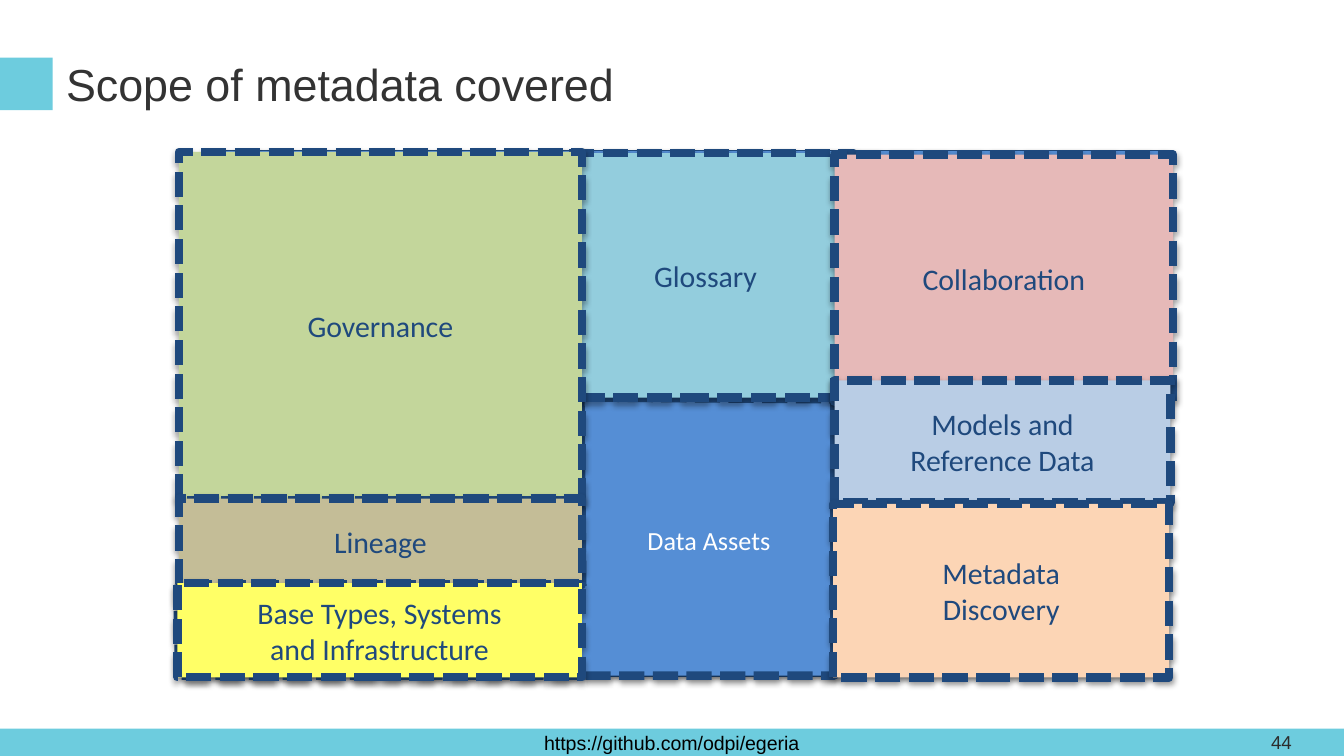
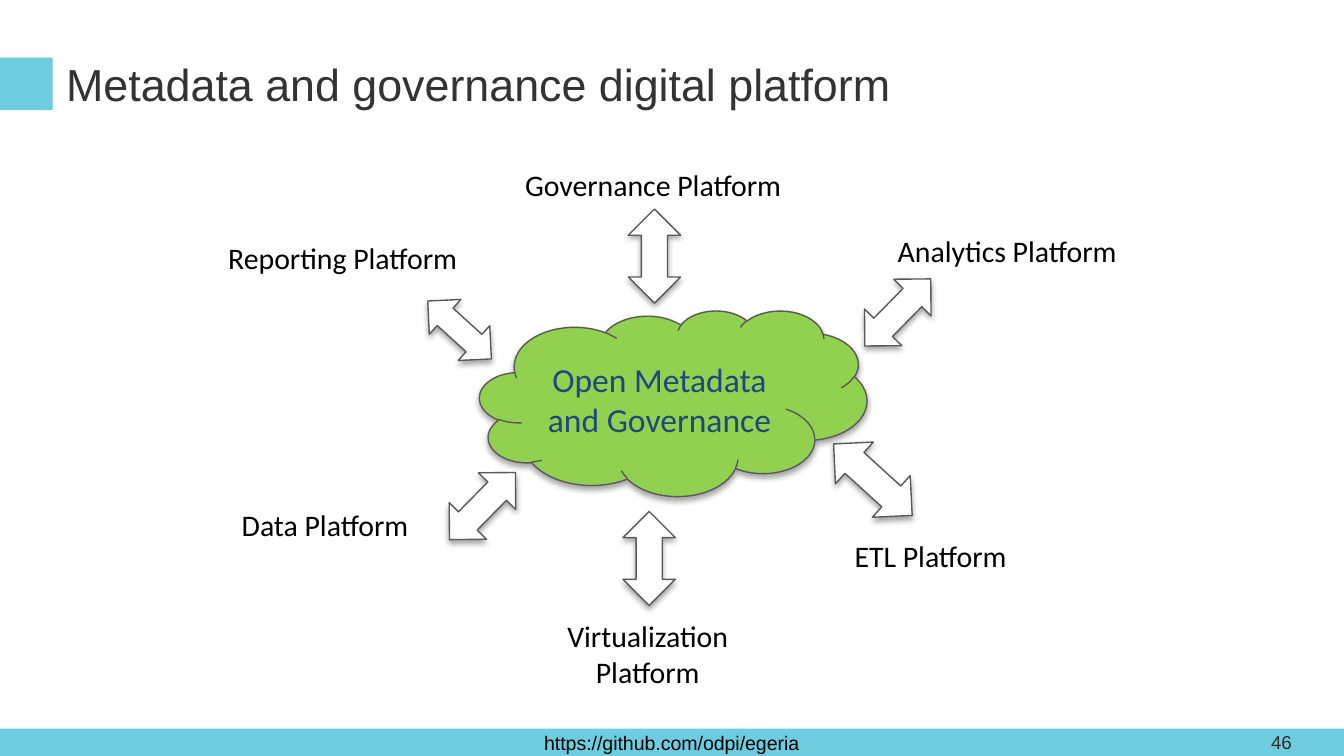
from dataclasses import dataclass

from lxml.etree import SubElement
from pptx import Presentation
from pptx.dml.color import RGBColor
from pptx.enum.dml import MSO_LINE
from pptx.enum.shapes import MSO_SHAPE
from pptx.enum.text import MSO_ANCHOR, MSO_AUTO_SIZE, PP_ALIGN
from pptx.oxml.ns import qn
from pptx.util import Pt


@dataclass(frozen=True)
class Theme:
    heading_font: str = "Arial"
    body_font: str = "Calibri"
    title_size: float = 24
    cloud_size: float = 18
    body_size: float = 16
    small_size: float = 14
    footer_size: float = 10.5
    number_size: float = 10
    thin_line: float = 0.75
    thick_line: float = 4.5
    accent: RGBColor = RGBColor.from_string("6DCCDE")
    title: RGBColor = RGBColor.from_string("333333")
    number: RGBColor = RGBColor.from_string("2C2C2C")
    black: RGBColor = RGBColor.from_string("000000")
    white: RGBColor = RGBColor.from_string("FFFFFF")
    navy: RGBColor = RGBColor.from_string("1F497D")
    outline: RGBColor = RGBColor.from_string("595959")
    assets: RGBColor = RGBColor.from_string("558ED5")
    glossary: RGBColor = RGBColor.from_string("93CDDD")
    collaboration: RGBColor = RGBColor.from_string("E6B9B8")
    governance: RGBColor = RGBColor.from_string("C3D69B")
    models: RGBColor = RGBColor.from_string("B9CDE5")
    discovery: RGBColor = RGBColor.from_string("FCD5B5")
    lineage: RGBColor = RGBColor.from_string("C4BD97")
    base_types: RGBColor = RGBColor.from_string("FFFF66")
    cloud: RGBColor = RGBColor.from_string("92D050")


THEME = Theme()
HEADING_INSETS = {f"margin_{side}": Pt(7.2) for side in ("left", "top", "right", "bottom")}


def set_attributes(target, values):
    for name, value in values.items():
        setattr(target, name, value)


def points(*lengths):
    return [Pt(length) for length in lengths]


def write_text(shape, text, size, color, font=THEME.body_font,
               align=PP_ALIGN.CENTER, **frame_format):
    frame = shape.text_frame
    set_attributes(frame, {"word_wrap": True, "text": text, **frame_format})
    for paragraph in frame.paragraphs:
        paragraph.alignment = align
        set_attributes(paragraph.font, {"name": font, "size": Pt(size)})
        paragraph.font.color.rgb = color


def fill_plain(shape, color):
    shape.shadow.inherit = False
    shape.fill.solid()
    shape.fill.fore_color.rgb = color
    shape.line.fill.background()


def fill_raised(shape, color, line_color, width=THEME.thin_line, dash=None):
    fill_plain(shape, color)
    shape.line.color.rgb = line_color
    set_attributes(shape.line, {"width": Pt(width), "dash_style": dash})
    effects = shape.element.spPr.find(qn("a:effectLst"))
    shadow = SubElement(effects, qn("a:outerShdw"), blurRad=str(Pt(3.1)),
                        dist=str(Pt(1.8)), dir="5400000", rotWithShape="0")
    shadow_color = SubElement(shadow, qn("a:srgbClr"), val=str(THEME.black))
    SubElement(shadow_color, qn("a:alpha"), val="35000")


def fill_dashed(shape, color):
    fill_raised(shape, color, THEME.navy, THEME.thick_line, MSO_LINE.SQUARE_DOT)


def add_region(slide, text, color, box):
    region = slide.shapes.add_shape(MSO_SHAPE.RECTANGLE, *points(*box))
    fill_dashed(region, color)
    write_text(region, text, THEME.body_size, THEME.navy,
               vertical_anchor=MSO_ANCHOR.MIDDLE)


def add_label(slide, text, box, size=THEME.body_size, color=THEME.black,
              align=PP_ALIGN.LEFT, wrap=True):
    label = slide.shapes.add_textbox(*points(*box))
    write_text(label, text, size, color, align=align, word_wrap=wrap,
               auto_size=MSO_AUTO_SIZE.SHAPE_TO_FIT_TEXT)


def add_arrow(slide, center, size, rotation):
    width, height = size
    left, top = center[0] - width / 2, center[1] - height / 2
    arrow = slide.shapes.add_shape(MSO_SHAPE.LEFT_RIGHT_ARROW,
                                   *points(left, top, width, height))
    arrow.rotation = rotation
    fill_raised(arrow, THEME.white, THEME.outline)


def decorate_layout(layout, slide):
    band, square = [
        slide.shapes.add_shape(MSO_SHAPE.RECTANGLE, *points(*box))
        for box in [(0, 390.4, 720, 14.6), (0, 30.8, 28.2, 28.2)]
    ]
    for shape in (band, square):
        fill_plain(shape, THEME.accent)
    write_text(band, "https://github.com/odpi/egeria", THEME.footer_size,
               THEME.black, THEME.heading_font, vertical_anchor=MSO_ANCHOR.MIDDLE)
    for shape in (band, square):
        layout.shapes.element.append(shape.element)


def add_titled_slide(presentation, layout, title, number):
    slide = presentation.slides.add_slide(layout)
    heading = slide.shapes.title
    set_attributes(heading, dict(zip(("left", "top", "width", "height"),
                                     points(28.2, 23, 667.4, 44.6))))
    write_text(heading, title, THEME.title_size, THEME.title, THEME.heading_font,
               PP_ALIGN.LEFT, vertical_anchor=MSO_ANCHOR.TOP,
               auto_size=MSO_AUTO_SIZE.NONE, **HEADING_INSETS)
    page = slide.shapes.add_textbox(*points(673.9, 390.4, 43.2, 14.6))
    write_text(page, number, THEME.number_size, THEME.number, THEME.heading_font,
               PP_ALIGN.LEFT, vertical_anchor=MSO_ANCHOR.MIDDLE, **HEADING_INSETS)
    return slide


def draw_metadata_scope(slide):
    backdrop = slide.shapes.add_shape(MSO_SHAPE.RECTANGLE,
                                      *points(110.2, 80.6, 514.8, 281.5))
    fill_raised(backdrop, THEME.assets, THEME.navy)

    builder = slide.shapes.build_freeform(311.8, 313.9, scale=Pt(1))
    builder.add_line_segments([(311, 213.1), (447.1, 213.8), (447.1, 362.2),
                               (95.8, 362.2), (95, 314.6)])
    fill_dashed(builder.convert_to_shape(), THEME.assets)

    regions = [
        ("Glossary", THEME.glossary, (298.8, 82.1, 158.4, 131)),
        ("Collaboration", THEME.collaboration, (447.1, 82.8, 181.4, 132.5)),
        ("Governance", THEME.governance, (95.8, 81.4, 216, 186.5)),
        ("Models and\nReference Data", THEME.models, (447.1, 203.8, 180, 65.5)),
        ("Metadata\nDiscovery", THEME.discovery, (446.4, 270, 180, 92.9)),
        ("Lineage", THEME.lineage, (95.8, 267.1, 216, 46.1)),
        ("Base Types, Systems\nand Infrastructure", THEME.base_types,
         (95, 312.5, 216.7, 50.4)),
    ]
    for text, color, box in regions:
        add_region(slide, text, color, box)
    add_label(slide, "Data Assets", (339.1, 277.2, 81.4, 24.5), THEME.small_size,
              THEME.white, PP_ALIGN.CENTER, wrap=False)


def draw_digital_platform(slide):
    cloud = slide.shapes.add_shape(MSO_SHAPE.CLOUD, *points(257, 166.3, 207.4, 99.4))
    fill_raised(cloud, THEME.cloud, THEME.outline)
    write_text(cloud, "Open Metadata and Governance", THEME.cloud_size, THEME.navy,
               vertical_anchor=MSO_ANCHOR.MIDDLE)

    arrow_size = (50.4, 28)
    arrows = [
        ((246.2, 176.8), (46.1, 25.2), 42.3),
        ((467.6, 257), (56.9, 30.2), 42.3),
        ((481, 167.4), arrow_size, 314.5),
        ((258.5, 271.1), arrow_size, 314.5),
        ((350.6, 137.2), arrow_size, 270),
        ((347.8, 299.2), arrow_size, 270),
    ]
    for center, size, rotation in arrows:
        add_arrow(slide, center, size, rotation)

    labels = [
        ("Reporting Platform", (115.2, 124.6, 144, 26.6), PP_ALIGN.LEFT),
        ("ETL Platform", (450.7, 284.4, 154, 26.6), PP_ALIGN.LEFT),
        ("Analytics Platform", (473.8, 121, 154, 26.6), PP_ALIGN.LEFT),
        ("Virtualization Platform", (270, 327.6, 154, 46.1), PP_ALIGN.CENTER),
        ("Governance Platform", (272.9, 85.7, 154, 26.6), PP_ALIGN.CENTER),
        ("Data Platform", (122.4, 267.8, 111.6, 26.6), PP_ALIGN.LEFT),
    ]
    for text, box, align in labels:
        add_label(slide, text, box, align=align)


def main():
    presentation = Presentation()
    set_attributes(presentation, {"slide_width": Pt(720), "slide_height": Pt(405)})
    layout = presentation.slide_layouts.get_by_name("Title Only")

    scope = add_titled_slide(presentation, layout, "Scope of metadata covered", "44")
    decorate_layout(layout, scope)
    draw_metadata_scope(scope)

    platform = add_titled_slide(presentation, layout,
                                "Metadata and governance digital platform", "46")
    draw_digital_platform(platform)
    presentation.save("out.pptx")


if __name__ == "__main__":
    main()
